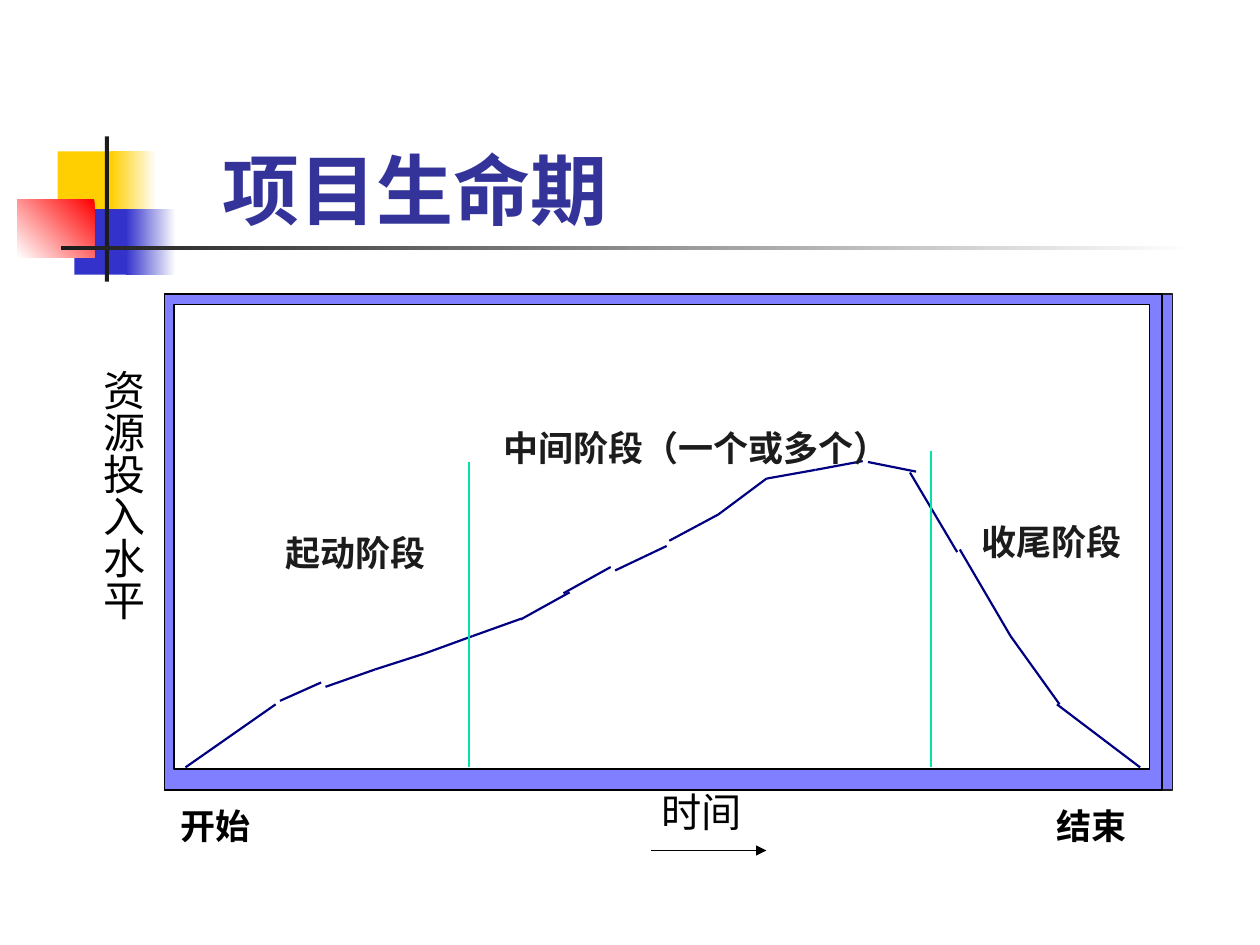
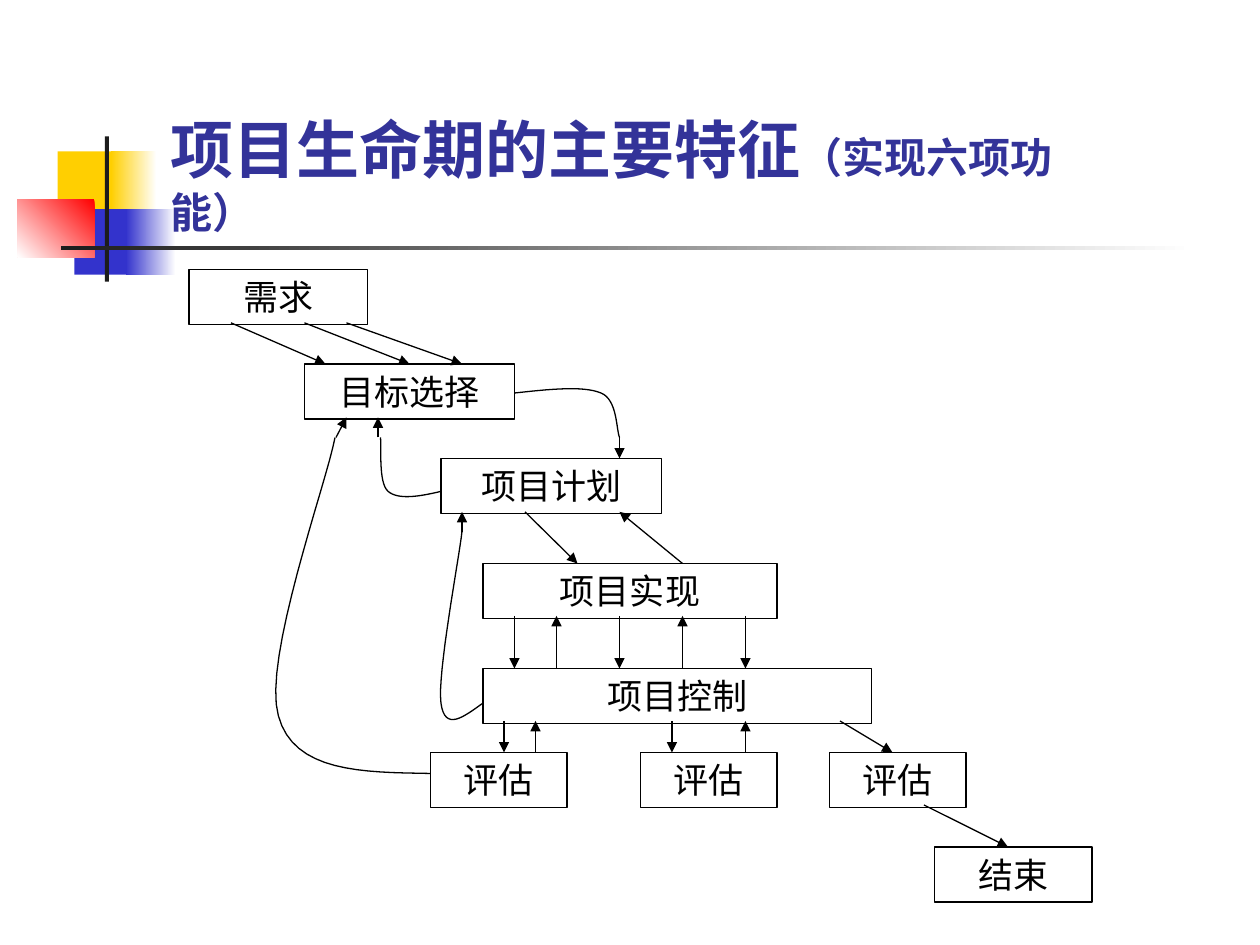
from itertools import pairwise

from lxml.etree import SubElement as add_element
from pptx import Presentation
from pptx.dml.color import RGBColor
from pptx.enum.lang import MSO_LANGUAGE_ID as Language
from pptx.enum.shapes import MSO_CONNECTOR as Connector, MSO_SHAPE as Shape
from pptx.enum.text import MSO_ANCHOR as Anchor, MSO_AUTO_SIZE as AutoSize, PP_ALIGN as Align
from pptx.oxml.ns import qn
from pptx.util import Pt

BLACK, CHARCOAL, WHITE = "000000", "1C1C1C", "FFFFFF"
YELLOW, BLUE, RED = "FFCF01", "3333CC", "FF0000"
TITLE_BLUE, CURVE_NAVY, DIVIDER_GREEN = "333399", "000080", "00E4A8"
ASIAN_FONT = "Montserrat"
FRAME_FORMAT = {"word_wrap": True, "auto_size": AutoSize.NONE}
LABEL = {"name": "Montserrat", "size": Pt(20), "bold": True}
FLOW = {"name": "Times New Roman", "size": Pt(20), "bold": False}
BOX_HEIGHT = 31.5

DECORATIONS = [
    ((33, 86.5, 34.5, 37.5), YELLOW),
    ((63.5, 86.5, 26, 37.5), (WHITE, YELLOW, 180)),
    ((42.5, 119.5, 33, 37.5), BLUE),
    ((72, 119.5, 28.5, 37.5), (WHITE, BLUE, 180)),
    ((10, 114, 44, 33), (RED, WHITE, 225)),
    ((60, 78, 2.2, 83), CHARCOAL),
    ((34.6, 140.4, 648, 2.4), (WHITE, CHARCOAL, 180)),
]

RESOURCE_CURVE = [
    [(106, 438.5), (157.5, 402.5)],
    [(160, 400.5), (183.5, 390)],
    [(186, 392.5), (214.5, 382.5), (242.5, 373.5), (270, 363.5), (298, 353.5)],
    [(297.5, 354), (325.5, 338.5)],
    [(322, 339), (349, 324)],
    [(351.5, 326), (381, 312)],
    [(382.5, 309), (410.5, 294), (438, 273.5), (466, 268.5), (493, 263.5)],
    [(496, 264), (523.5, 269.5)],
    [(520, 270), (547, 315.5)],
    [(548.5, 314), (577.5, 363.5), (605.5, 402.5)],
    [(604, 402.5), (651.5, 438.5)],
]

PHASE_LABELS = [
    ("开始", (78, 456, 90), BLACK),
    ("结束", (582, 456, 84), BLACK),
    ("起动阶段", (150, 300, 106), CHARCOAL),
    ("中间阶段（一个或多个）", (273.5, 240, 248.5), CHARCOAL),
    ("收尾阶段", (550, 294, 102), CHARCOAL),
]

FLOW_BOXES = [
    ("需求", (108, 154, 102)),
    ("目标选择", (174, 208, 120)),
    ("项目计划", (252, 262, 126)),
    ("项目实现", (276, 322, 168)),
    ("项目控制", (276, 382, 222)),
    ("评估", (246, 430, 78)),
    ("评估", (366, 430, 78)),
    ("评估", (474, 430, 78)),
    ("结束", (534, 484, 90)),
]

ARROW_ROWS = [
    (184.5, 208, [(132, 186), (198, 264), (174, 234)]),
    (250, 238.5, [(192, 198), (216, 216)]),
    (250, 262, [(354, 354)]),
    (304, 292.5, [(264, 264)]),
    (292.5, 322, [(300, 330)]),
    (322, 292.5, [(390, 354)]),
    (352, 382, [(294, 294), (354, 354), (426, 426)]),
    (382, 352, [(318, 318), (390, 390)]),
    (412, 430, [(288, 288), (384, 384), (480, 510)]),
    (430, 412, [(306, 306), (426, 426)]),
    (460, 484, [(528, 576)]),
]

FEEDBACK_CURVES = [
    [(252, 280.8), (240, 283.7), (227.5, 285.8), (221.8, 280.8),
     (216, 275.8), (218.2, 254.9), (217.4, 250)],
    [(294, 224.6), (313.2, 222.5), (333.4, 220.3), (343.4, 224.6),
     (352.8, 228.2), (352.1, 245.5), (354, 250)],
    [(246, 442), (207.4, 441.4), (167.8, 441.4), (159.1, 409),
     (149.8, 377.3), (186.5, 276.5), (191.5, 250)],
    [(276, 401.8), (265, 409.7), (254.2, 418.3), (252, 401.8),
     (249.8, 385.2), (262.1, 320.4), (264, 304)],
]


def color(code):
    """Turn a hex string into a colour."""
    return RGBColor.from_string(code)


def apply(target, values):
    """Set every attribute in values on target."""
    for name, value in values.items():
        setattr(target, name, value)


def paint(shape, fill=None, line=None, width=0.75):
    """Give a shape a plain, gradient or empty fill and an optional outline."""
    if hasattr(shape, "shadow"):
        shape.shadow.inherit = False
    if fill is None:
        shape.fill.background()
    elif isinstance(fill, tuple):
        shape.fill.gradient()
        shape.fill.gradient_angle = fill[2]
        for stop, code in zip(shape.fill.gradient_stops, fill):
            stop.color.rgb = color(code)
    else:
        shape.fill.solid()
        shape.fill.fore_color.rgb = color(fill)
    if line:
        shape.line.color.rgb = color(line)
        shape.line.width = Pt(width)
    else:
        shape.line.fill.background()


def add_rectangle(page, place, fill=None, line=None, width=0.75):
    """Add a rectangle placed in points."""
    box = page.shapes.add_shape(Shape.RECTANGLE, *map(Pt, place))
    paint(box, fill, line, width)
    return box


def add_line(page, start, end, code=BLACK, width=0.75, arrow=False):
    """Add a straight line, with an arrowhead at its end if asked."""
    line = page.shapes.add_connector(Connector.STRAIGHT, *map(Pt, start + end))
    line.line.color.rgb = color(code)
    line.line.width = Pt(width)
    properties = line.element.spPr
    if arrow:
        add_element(properties.find(qn("a:ln")), qn("a:tailEnd"), type="triangle")
    add_element(properties, qn("a:effectLst"))


def add_span(para, text, font, code, asian=ASIAN_FONT):
    """Append a formatted run to a paragraph."""
    span = para.add_run()
    span.text = text
    apply(span.font, font | {"language_id": Language.SIMPLIFIED_CHINESE})
    span.font.color.rgb = color(code)
    add_element(span.font._element, qn("a:ea"), typeface=asian)


def write(box, text, font, code=BLACK, align=Align.CENTER, margins=(7.2, 3.6)):
    """Write one paragraph into a shape or text box."""
    frame = box.text_frame
    side, edge = map(Pt, margins)
    apply(frame, FRAME_FORMAT | {
        "vertical_anchor": Anchor.TOP, "margin_left": side, "margin_right": side,
        "margin_top": edge, "margin_bottom": edge})
    para = frame.paragraphs[0]
    para.alignment = align
    add_span(para, text, font, code)


def add_label(page, place, *args, **options):
    """Add a text box placed in points."""
    box = page.shapes.add_textbox(*map(Pt, place))
    write(box, *args, **options)
    return box


def bezier(points, steps=16):
    """Yield points along joined cubic curves."""
    for first in range(0, len(points) - 1, 3):
        for step in range(1, steps + 1):
            t = step / steps
            weights = ((1 - t) ** 3, 3 * t * (1 - t) ** 2, 3 * t * t * (1 - t), t ** 3)
            yield tuple(
                Pt(sum(w * point[axis] for w, point in zip(weights, points[first:first + 4])))
                for axis in (0, 1))


def add_curve(page, points):
    """Draw an open curve through joined cubic segments."""
    builder = page.shapes.build_freeform(*map(Pt, points[0]))
    builder.add_line_segments(list(bezier(points)), close=False)
    paint(builder.convert_to_shape(), line=BLACK)


def add_page(deck, place, spans, font_name):
    """Add a slide with the shared decoration and a formatted title."""
    page = deck.slides.add_slide(deck.slide_layouts[5])
    for spot, fill in DECORATIONS:
        add_rectangle(page, spot, fill)
    title = page.shapes.title
    apply(title, dict(zip(("left", "top", "width", "height"), map(Pt, place))))
    apply(title.text_frame, FRAME_FORMAT | {"vertical_anchor": Anchor.BOTTOM})
    para = title.text_frame.paragraphs[0]
    para.alignment = Align.LEFT
    for text, size in spans:
        font = {"name": font_name, "size": Pt(size), "bold": True}
        add_span(para, text, font, TITLE_BLUE, font_name)
    title.element.getparent().append(title.element)
    return page


def add_life_cycle(deck):
    """Build the slide with the resource curve over time."""
    page = add_page(deck, (120, 84, 318, 54), [("项目生命期", 44)], "Arial")
    border = add_rectangle(page, (94, 168, 576, 283.5), "0000FF", CHARCOAL)
    tint = border.element.spPr.find(qn("a:solidFill")).find(qn("a:srgbClr"))
    add_element(tint, qn("a:alpha"), val="50000")
    add_rectangle(page, (99.5, 174, 557.5, 265.5), WHITE, BLACK, 0)
    for chain in RESOURCE_CURVE:
        for start, end in pairwise(chain):
            add_line(page, start, end, CURVE_NAVY, 1.25)
    add_rectangle(page, (94, 168, 570, 283.5), line=BLACK, width=0)
    for x, top in ((268, 264), (532, 258)):
        add_line(page, (x, 438.5), (x, top), DIVIDER_GREEN)
    for text, place, code in PHASE_LABELS:
        add_label(page, (*place, BOX_HEIGHT), text, LABEL, code)
    time_font = {"name": "Noto Sans CJK SC", "size": Pt(23)}
    time = add_label(page, (378, 450, 46, 27.5), "时间", time_font,
                     align=Align.LEFT, margins=(0, 0))
    time.text_frame.word_wrap = False
    add_line(page, (372, 486), (438, 486), arrow=True)
    axis = add_label(page, (44.5, 204, 43.5, 210), "资源投入水平", FLOW | {"size": Pt(24)},
                     align=Align.LEFT, margins=(3.6, 7.2))
    axis.text_frame._txBody.bodyPr.set("vert", "eaVert")


def add_functions(deck):
    """Build the slide with the flow of six functions."""
    spans = [("项目生命期的主要特征", 36), ("（实现六项功能）", 24)]
    page = add_page(deck, (90.5, 84, 563, 55), spans, "Roboto")
    for text, place in FLOW_BOXES:
        write(add_rectangle(page, (*place, BOX_HEIGHT), line=BLACK), text, FLOW)
    for points in FEEDBACK_CURVES:
        add_curve(page, points)
    for top, bottom, columns in ARROW_ROWS:
        for start, end in columns:
            add_line(page, (start, top), (end, bottom), arrow=True)


def main():
    """Build and save the deck."""
    deck = Presentation()
    apply(deck, {"slide_width": Pt(720), "slide_height": Pt(540)})
    add_life_cycle(deck)
    add_functions(deck)
    deck.save("out.pptx")


if __name__ == "__main__":
    main()
